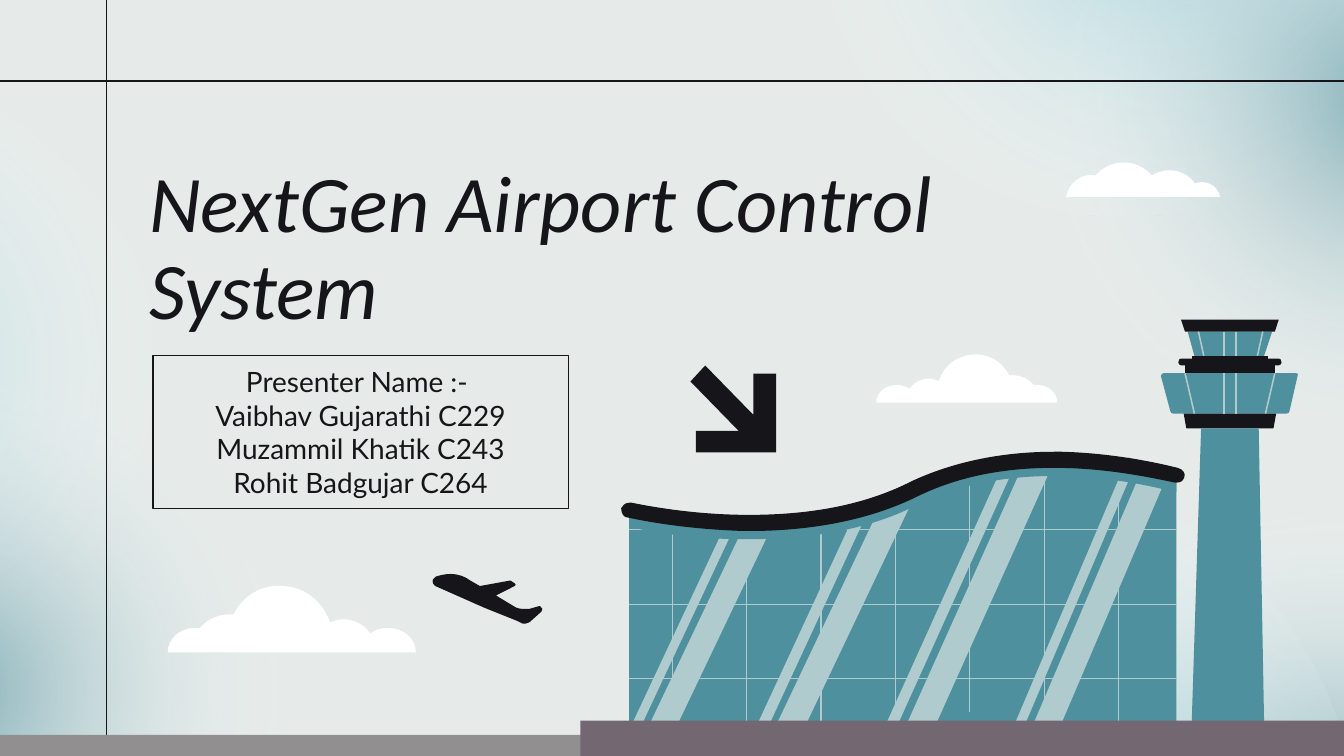
from dataclasses import dataclass

from lxml.etree import SubElement
from pptx import Presentation
from pptx.dml.color import RGBColor
from pptx.enum.shapes import MSO_CONNECTOR, MSO_SHAPE
from pptx.enum.text import MSO_ANCHOR, MSO_AUTO_SIZE, PP_ALIGN
from pptx.oxml import parse_xml
from pptx.oxml.ns import nsdecls, qn
from pptx.util import Cm, Pt


@dataclass(frozen=True)
class Theme:
    """Colours, fonts and sizes of the deck."""
    paper: str = "E6EBE9"
    ink: str = "161519"
    teal: str = "4E909E"
    sky: str = "80C8D8"
    shine: str = "B0CBCE"
    white: str = "FFFFFF"
    strip: str = "918F8F"
    ground: str = "736871"
    title_font: str = "Calibri"
    body_font: str = "Lato"
    title_size: float = 43
    body_size: float = 15
    rule: float = 0.75
    pane: float = 0.83
    mullion: float = 0.67


@dataclass(frozen=True)
class Box:
    """A region in centimetres, divided into a drawing grid."""
    left: float
    top: float
    width: float
    height: float
    cols: float = 1
    rows: float = 1

    def at(self, x, y):
        """Return the slide position of a grid point."""
        return (Cm(self.left + x * self.width / self.cols),
                Cm(self.top + y * self.height / self.rows))

    def bounds(self):
        """Return left, top, width and height as lengths."""
        return Cm(self.left), Cm(self.top), Cm(self.width), Cm(self.height)


T = Theme()
PUFFY = ("M 164 33 C 160 33 155 34 151 37 C 144 27 131 24 121 29 C 116 14 103 3 87 2 "
         "C 71 0 56 9 49 23 C 48 23 47 23 46 23 C 37 23 29 27 24 33 C 23 33 22 33 20 33 "
         "C 9 33 0 41 0 51 L 185 51 C 185 41 176 33 164 33")
FLAT = ("M 115 29 L 0 29 C 2 18 12 11 22 13 C 33 0 53 0 64 13 C 75 6 90 9 96 19 "
        "C 104 16 113 20 115 29")
ARROW = "M 11 0 L 0 12 L 36 49 L 4 49 L 4 65 L 64 65 L 64 6 L 47 6 L 47 37"
PLANE = ("M 14 0 C 20 0 25 2 29 5 L 36 9 L 58 5 L 59 5 L 62 7 C 63 7 63 9 62 9 L 48 16 "
         "L 63 25 C 65 26 67 26 69 26 C 70 26 71 26 73 26 L 80 24 L 81 24 "
         "C 83 25 83 27 82 28 L 73 36 C 72 37 71 37 70 37 C 69 37 69 37 68 37 L 64 35 "
         "L 39 25 L 5 10 C 1 9 0 6 1 4 C 2 3 2 3 3 2 C 6 1 10 0 14 0")
TOWER = [
    ("M 9 70 L 94 70 C 95 70 96 69 96 68 L 102 42 C 103 41 102 40 101 40 L 2 40 "
     "C 1 40 0 41 0 42 L 7 68 C 7 69 8 70 9 70", T.teal),
    ("M 86 70 L 84 81 L 19 81 L 17 70", T.ink),
    ("M 23 300 L 77 300 L 73 81 L 30 81", T.teal),
    ("M 85 34 L 85 40 L 18 40 L 18 34", T.ink),
    ("M 88 29 C 89 29 90 30 90 32 C 90 33 89 34 88 34 L 15 34 C 14 34 13 33 13 32 "
     "C 13 30 14 29 15 29", T.ink),
    ("M 25 27 L 77 27 L 83 9 L 20 9", T.teal),
    ("M 88 0 L 85 9 L 18 9 L 15 0", T.ink),
    ("M 80 27 L 80 32 L 23 32 L 23 27", T.ink),
]
GLASS = "M 6 44 L 6 202 L 413 202 L 413 18 C 374 8 289 -7 219 28 C 136 68 31 49 6 44"
EAVE = ("M 322 7 C 324 7 326 7 328 7 C 362 7 393 13 413 18 L 413 30 C 413 30 412 30 412 30 "
        "C 393 25 360 18 322 18 C 290 18 254 23 221 39 C 187 57 144 65 95 65 L 91 65 "
        "C 62 65 34 62 6 56 L 6 44 C 7 44 7 45 8 45 C 18 47 53 54 95 54 "
        "C 133 54 177 48 216 29 C 246 14 282 7 322 7")
ROOF = ("M 322 0 C 324 0 326 0 328 0 C 363 1 394 7 414 12 C 418 13 420 16 419 19 "
        "C 418 22 416 23 413 23 C 413 23 412 23 412 23 C 393 19 360 12 322 12 "
        "C 289 12 254 17 221 33 C 187 50 144 59 95 59 L 91 59 C 62 58 33 55 5 49 "
        "C 2 49 0 46 0 42 C 1 40 3 38 6 38 C 7 38 7 38 8 38 C 18 40 53 47 95 47 "
        "C 133 47 177 42 216 22 C 246 8 282 0 322 0")
REFLECTIONS = [(306, 204, 19, 4, 84, 197), (293, 202, 7, 2, 84, 198),
               (210, 208, 20, 4, 89, 198), (196, 205, 8, 2, 89, 197),
               (105, 225, 20, 4, 89, 187), (92, 223, 8, 2, 82, 177),
               (11, 224, 19, 4, 83, 174), (-1, 222, 7, 1, 82, 175)]
MULLION_TOPS = [49, 49, 45, 35, 22, 15, 18]


def paint(sp, color):
    """Give a shape a flat fill without line or shadow."""
    sp.shadow.inherit = False
    sp.fill.solid()
    sp.fill.fore_color.rgb = RGBColor.from_string(color)
    sp.line.fill.background()


def bend(sp, commands):
    """Merge the straight segments of each C command into one Bezier curve."""
    segments = iter(list(sp.element.spPr.iter(qn("a:lnTo"))))
    for command in commands:
        first = next(segments)
        if command == "C":
            first.tag = qn("a:cubicBezTo")
            for extra in (next(segments), next(segments)):
                first.append(extra[0])
                extra.getparent().remove(extra)


def add_outline(s, box, outline, color, mirror=False):
    """Draw a filled M/L/C outline on the grid of a box."""
    tokens = outline.split()
    commands = [t for t in tokens if t in "LC"]
    n = [float(t) for t in tokens if t not in "MLC"]
    points = [box.at(box.cols - x if mirror else x, y) for x, y in zip(n[::2], n[1::2])]
    builder = s.shapes.build_freeform(*points[0])
    builder.add_line_segments(points[1:], close=True)
    sp = builder.convert_to_shape()
    bend(sp, commands)
    paint(sp, color)


def add_rule(s, box, x1, y1, x2, y2, color, width):
    """Draw a straight line between two grid points of a box."""
    line = s.shapes.add_connector(MSO_CONNECTOR.STRAIGHT, *box.at(x1, y1), *box.at(x2, y2))
    line.line.color.rgb = RGBColor.from_string(color)
    line.line.width = Pt(width)
    SubElement(line.element.spPr, qn("a:effectLst"))


def add_glow(s, box, rotation, color, alpha):
    """Draw a soft ellipse that fades out from its centre."""
    sp = s.shapes.add_shape(MSO_SHAPE.OVAL, *box.bounds())
    paint(sp, color)
    sp.rotation = rotation
    stops = "".join(
        f'<a:gs pos="{pos}000"><a:srgbClr val="{c}"><a:alpha val="{a}000"/></a:srgbClr></a:gs>'
        for pos, c, a in ((0, color, alpha), (58, T.white, 0), (100, T.white, 0)))
    solid = sp.element.spPr.find(qn("a:solidFill"))
    solid.getparent().replace(solid, parse_xml(
        f'<a:gradFill {nsdecls("a")} rotWithShape="1"><a:gsLst>{stops}</a:gsLst>'
        '<a:path path="circle"><a:fillToRect l="50000" t="50000" r="50000" b="50000"/>'
        '</a:path></a:gradFill>'))


def add_backdrop(s, box):
    """Place glows, frame lines and the grey strip on the page."""
    for left, top, rotation, color, alpha in (
            (18.57, 10.34, 237.1, T.teal, 81), (12.95, 9.35, 237.1, T.sky, 68),
            (-10.03, 1.04, 202, T.sky, 68), (-7.65, 7.21, 202, T.teal, 68),
            (15.34, -7.82, 149, T.sky, 68), (19.74, -3.99, 149, T.teal, 68)):
        add_glow(s, Box(box.left + left, box.top + top, 13.26, 11.68), rotation, color, alpha)
    add_rule(s, box, 2.01, 0, 2.01, box.rows, T.ink, T.rule)
    add_rule(s, box, 0, 1.53, box.cols, 1.53, T.ink, T.rule)
    strip = Box(box.left, box.top + box.height - 0.4, box.width, 0.4)
    paint(s.shapes.add_shape(MSO_SHAPE.RECTANGLE, *strip.bounds()), T.strip)


def fill_placeholder(s, sp, box, text, font, size, align):
    """Place a placeholder in a box, set its text and bring it forward."""
    s.shapes.element.append(sp.element)
    sp.left, sp.top, sp.width, sp.height = box.bounds()
    tf = sp.text_frame
    tf.text = text
    tf.word_wrap = True
    tf.auto_size = MSO_AUTO_SIZE.NONE
    tf.vertical_anchor = MSO_ANCHOR.MIDDLE
    tf.margin_left = tf.margin_right = tf.margin_top = tf.margin_bottom = Cm(0.25)
    for p in tf.paragraphs:
        p.alignment = align
        p.space_before = Pt(0)
        for r in p.runs:
            r.font.name, r.font.size = font, Pt(size)
            r.font.color.rgb = RGBColor.from_string(T.ink)


def add_title(s, box):
    """Fill the title in large italics."""
    fill_placeholder(s, s.shapes.title, box, "NextGen Airport Control System",
                     T.title_font, T.title_size, PP_ALIGN.LEFT)
    p = s.shapes.title.text_frame.paragraphs[0]
    p.line_spacing, p.space_after = 0.9, Pt(2)
    p.runs[0].font.italic = True


def add_presenters(s, box):
    """Fill the framed list of presenters."""
    sp = s.placeholders[1]
    lines = ("Presenter Name :- ", "Vaibhav Gujarathi C229",
             "Muzammil Khatik C243", "Rohit Badgujar C264")
    fill_placeholder(s, sp, box, "\n".join(lines), T.body_font, T.body_size, PP_ALIGN.CENTER)
    sp.line.color.rgb = RGBColor.from_string(T.ink)
    sp.line.width = Pt(T.rule)


def add_tower(s, box):
    """Draw the control tower with its window panes."""
    for outline, color in TOWER:
        add_outline(s, box, outline, color)
    for top, bottom, panes in ((9, 27, ((28, 32), (47, 47), (56, 56), (76, 72))),
                               (40, 70, ((18, 25), (47, 47), (56, 56), (85, 78)))):
        for x1, x2 in panes:
            add_rule(s, box, x1, top, x2, bottom, T.shine, T.pane)


def add_terminal(s, box):
    """Draw the glass terminal under its curved roof."""
    add_outline(s, box, GLASS, T.teal)
    for x, y, width, drop, lean, rise in REFLECTIONS:
        add_outline(s, box, f"M {x} {y} L {x + width} {y + drop} "
                    f"L {x + width + lean} {y + drop - rise} L {x + lean} {y - rise}", T.shine)
    for i, top in enumerate(MULLION_TOPS):
        x = 38 + 55.33 * i
        add_rule(s, box, x, top, x, top + (172 if i < 5 else 209), T.shine, T.mullion)
    for i in range(3):
        y = 58 + 55.5 * i
        add_rule(s, box, 6, y, 413, y, T.shine, T.mullion)
    ground = Box(box.left - 0.77, box.top + 5.08, 14.43, 0.67)
    paint(s.shapes.add_shape(MSO_SHAPE.RECTANGLE, *ground.bounds()), T.ground)
    add_outline(s, box, EAVE, T.teal)
    add_outline(s, box, ROOF, T.ink)


def main():
    """Build the title slide and save the deck."""
    prs = Presentation()
    prs.slide_width, prs.slide_height = Cm(25.4), Cm(14.29)
    s = prs.slides.add_slide(prs.slide_layouts[0])
    s.background.fill.solid()
    s.background.fill.fore_color.rgb = RGBColor.from_string(T.paper)
    add_backdrop(s, Box(0, 0, 25.4, 14.29, 25.4, 14.29))
    add_outline(s, Box(3.17, 11.03, 4.69, 1.3, 185, 51), PUFFY, T.white)
    add_outline(s, Box(16.56, 6.67, 3.42, 0.94, 185, 51), PUFFY, T.white, mirror=True)
    add_outline(s, Box(20.15, 2.99, 2.91, 0.73, 115, 29), FLAT, T.white)
    add_title(s, Box(2.57, 2.08, 17.02, 5.28))
    add_presenters(s, Box(2.89, 6.72, 7.85, 2.89))
    add_outline(s, Box(13.05, 6.91, 1.62, 1.64, 64, 65), ARROW, T.ink)
    add_tower(s, Box(21.94, 6.04, 2.61, 7.62, 103, 300))
    add_terminal(s, Box(11.74, 8.54, 10.67, 5.13, 420, 202))
    add_outline(s, Box(8.16, 10.85, 2.1, 0.94, 83, 37), PLANE, T.ink)
    prs.save("out.pptx")


if __name__ == "__main__":
    main()
